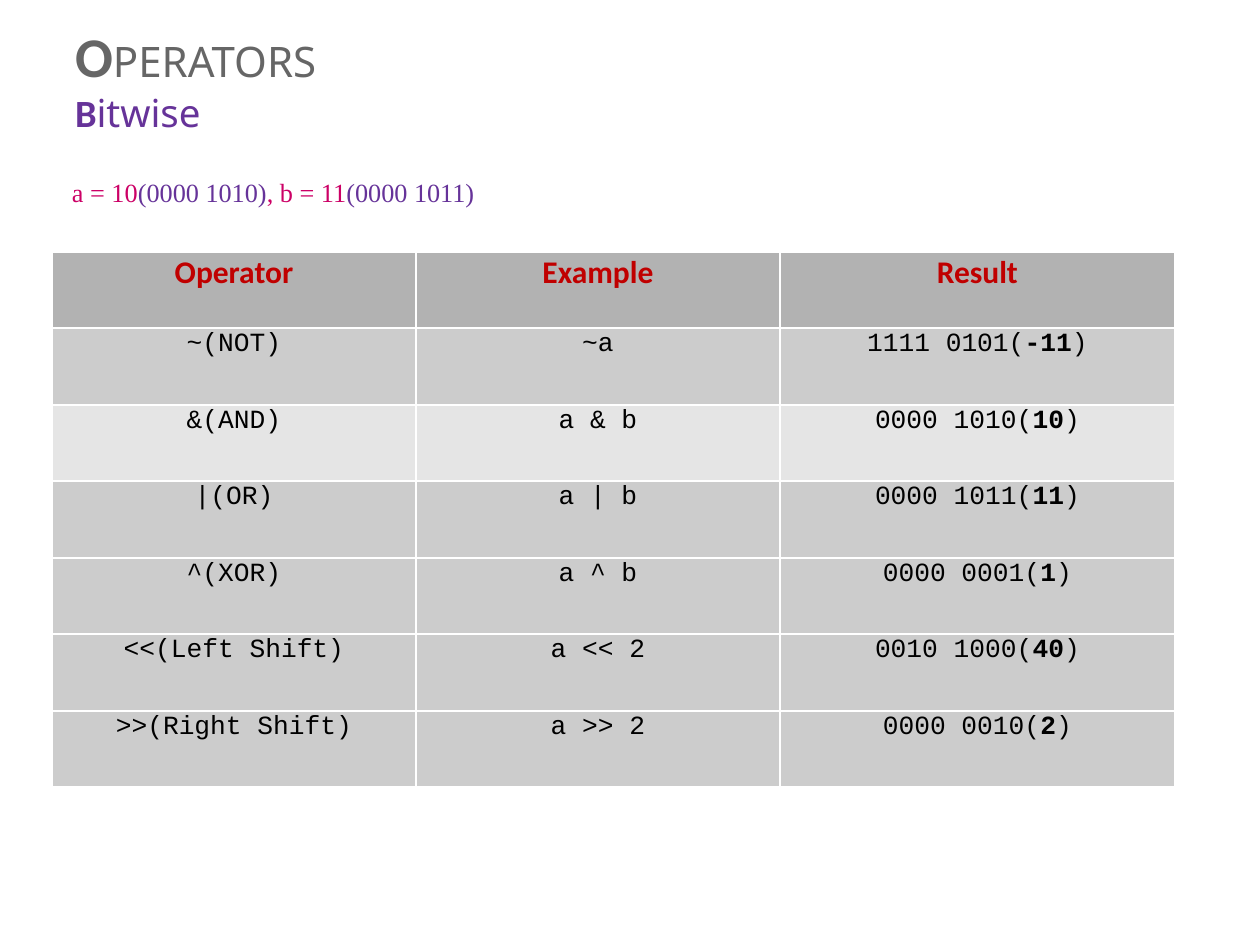
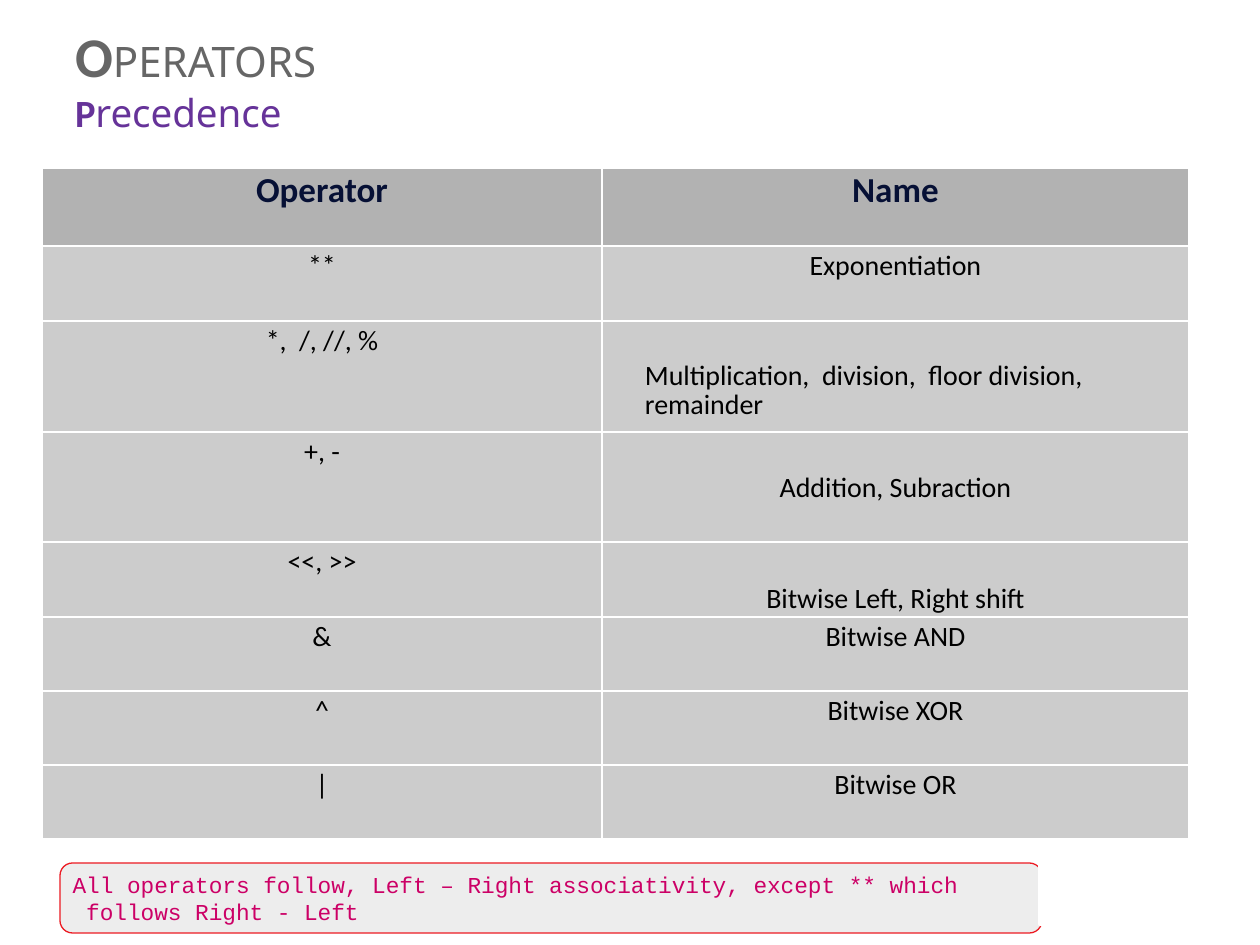
"""Build the two operator slides: bitwise examples and precedence."""
from collections import namedtuple

from lxml.etree import SubElement
from pptx import Presentation
from pptx.dml.color import RGBColor
from pptx.enum.shapes import MSO_SHAPE
from pptx.enum.text import MSO_ANCHOR, MSO_AUTO_SIZE, PP_ALIGN
from pptx.oxml.ns import qn
from pptx.util import Inches, Pt

PIXEL = Inches(1) / 126
COLORS = {
    "title": "666666",
    "subtitle": "663399",
    "accent": "CC0066",
    "bitwise_header": "C00000",
    "precedence_header": "061035",
    "text": "000000",
    "white": "FFFFFF",
    "header_fill": "B2B2B2",
    "row_fill": "CCCCCC",
    "light_row_fill": "E5E5E5",
    "callout_fill": "EDEDED",
    "callout_line": "EC1B23",
}
Style = namedtuple("Style", "font size color bold", defaults=[False])

TITLE_INITIAL = Style("Calibri", 32, "title", True)
TITLE_REST = Style("Noto Sans", 24, "title")
SUBTITLE_INITIAL = Style("Calibri", 22, "subtitle", True)
SUBTITLE_REST = Style("Noto Sans", 22, "subtitle")
VARIABLE = Style("Times New Roman", 15, "accent")
BITS = Style("Times New Roman", 15, "subtitle")
BITWISE_HEADER = Style("Calibri", 18, "bitwise_header", True)
CODE = Style("Courier New", 15, "text")
CODE_BOLD = Style("Courier New", 15, "text", True)
PRECEDENCE_HEADER = Style("Calibri", 20, "precedence_header", True)
PRECEDENCE_TEXT = Style("Calibri", 16, "text")
CALLOUT = Style("Courier New", 13, "accent")

BITWISE_ROWS = [
    ("~(NOT)", "~a", "1111 0101", "-11"),
    ("&(AND)", "a & b", "0000 1010", "10"),
    ("|(OR)", "a | b", "0000 1011", "11"),
    ("^(XOR)", "a ^ b", "0000 0001", "1"),
    ("<<(Left Shift)", "a << 2", "0010 1000", "40"),
    (">>(Right Shift)", "a >> 2", "0000 0010", "2"),
]
PRECEDENCE_ROWS = [
    ("**", "Exponentiation"),
    ("*,  /, //, %", "Multiplication,  division,  floor division,"),
    ("+, -", "Addition, Subraction"),
    ("<<, >>", "Bitwise Left, Right shift"),
    ("&", "Bitwise AND"),
    ("^", "Bitwise XOR"),
    ("|", "Bitwise OR"),
]


def px(length):
    """Turn pixels into EMU."""
    return round(length * PIXEL)


def color(name):
    """Look up a named colour."""
    return RGBColor.from_string(COLORS[name])


def add_runs(paragraph, runs):
    """Add (text, style) runs to a paragraph."""
    for text, style in runs:
        run = paragraph.add_run()
        run.text = text
        run.font.name = style.font
        run.font.size = Pt(style.size)
        run.font.bold = style.bold
        run.font.color.rgb = color(style.color)


def set_plain(paragraph, indent=0):
    """Remove a bullet and align a paragraph left at an indent."""
    paragraph.alignment = PP_ALIGN.LEFT
    paragraph.space_before = Pt(0)
    properties = paragraph._p.get_or_add_pPr()
    properties.set("marL", str(px(indent)))
    properties.set("indent", "0")
    SubElement(properties, qn("a:buNone"))


def set_frame(frame, left=0, top=1, right=0):
    """Anchor text at the top with small insets."""
    frame.word_wrap = True
    frame.auto_size = MSO_AUTO_SIZE.NONE
    frame.vertical_anchor = MSO_ANCHOR.TOP
    frame.margin_left, frame.margin_top = px(left), px(top)
    frame.margin_right, frame.margin_bottom = px(right), 0


def place(shape, left, top, width, height):
    """Move and size a placeholder."""
    shape.left, shape.top = px(left), px(top)
    shape.width, shape.height = px(width), px(height)
    set_frame(shape.text_frame)
    return shape.text_frame


def subtitle_runs(text):
    """Split a subtitle into its bold initial and the rest."""
    return [(text[0], SUBTITLE_INITIAL), (text[1:], SUBTITLE_REST)]


def add_title(slide, width, height):
    """Fill the title placeholder with the shared heading."""
    frame = place(slide.shapes.title, 74, 21, width, height)
    paragraph = frame.paragraphs[0]
    set_plain(paragraph, 1)
    add_runs(paragraph, [("O", TITLE_INITIAL), ("PERATORS", TITLE_REST)])
    return frame


def add_borders(cell):
    """Draw thin white borders on all sides of a cell."""
    properties = cell._tc.get_or_add_tcPr()
    for position, side in enumerate(("a:lnL", "a:lnR", "a:lnT", "a:lnB")):
        line = properties.makeelement(qn(side), {"w": str(Pt(1))})
        fill = SubElement(line, qn("a:solidFill"))
        SubElement(fill, qn("a:srgbClr"), val=COLORS["white"])
        properties.insert(position, line)


def fill_cell(cell, runs, fill, top):
    """Write centred text in a filled cell."""
    cell.margin_left = cell.margin_right = cell.margin_bottom = 0
    cell.margin_top = px(top)
    cell.fill.solid()
    cell.fill.fore_color.rgb = color(fill)
    add_borders(cell)
    paragraph = cell.text_frame.paragraphs[0]
    paragraph.alignment = PP_ALIGN.CENTER
    add_runs(paragraph, runs)


def add_operator_table(slide, left, top, widths, heights, rows,
                       inset=2, light_rows=(), lowered=None):
    """Add a table with a header row; lowered maps cells to larger insets."""
    table = slide.shapes.add_table(
        len(rows), len(widths), px(left), px(top), px(sum(widths)), px(sum(heights))
    ).table
    for column, width in zip(table.columns, widths):
        column.width = px(width)
    for row_index, (row, height) in enumerate(zip(rows, heights)):
        table.rows[row_index].height = px(height)
        fill = "light_row_fill" if row_index in light_rows else "row_fill"
        row_inset = inset
        if row_index == 0:
            fill, row_inset = "header_fill", 1
        for column_index, runs in enumerate(row):
            cell_inset = (lowered or {}).get((row_index, column_index), row_inset)
            fill_cell(table.cell(row_index, column_index), runs, fill, cell_inset)
    return table


def add_box(slide, kind, bounds, fill, line, line_width):
    """Add a filled and outlined shape."""
    shape = slide.shapes.add_shape(kind, *map(px, bounds))
    shape.shadow.inherit = False
    shape.fill.solid()
    shape.fill.fore_color.rgb = color(fill)
    shape.line.color.rgb = color(line)
    shape.line.width = Pt(line_width)
    return shape


def add_corner_block(slide):
    """Add the shared white block in the lower right corner."""
    add_box(slide, MSO_SHAPE.RECTANGLE, (1040, 840, 189, 84), "white", "white", 2)


def add_callout(slide, text):
    """Add the rounded note at the bottom."""
    note = add_box(slide, MSO_SHAPE.ROUNDED_RECTANGLE, (60, 863, 982, 70),
                   "callout_fill", "callout_line", 0.75)
    note.adjustments[0] = 0.18
    set_frame(note.text_frame, 9, 4, 70)
    paragraph = note.text_frame.paragraphs[0]
    paragraph.alignment = PP_ALIGN.LEFT
    add_runs(paragraph, [(text, CALLOUT)])


def build_bitwise(presentation):
    """Build the slide of bitwise operators."""
    slide = presentation.slides.add_slide(presentation.slide_layouts[1])
    add_title(slide, 271, 70)
    frame = place(slide.placeholders[1], 71, 88, 431, 121)
    subtitle = frame.paragraphs[0]
    set_plain(subtitle, 4)
    add_runs(subtitle, subtitle_runs("Bitwise"))
    operands = frame.add_paragraph()
    set_plain(operands, 1)
    operands.space_before = Pt(23.5)
    add_runs(operands, [("a = 10", VARIABLE), ("(0000 1010)", BITS),
                        (", b = 11", VARIABLE), ("(0000 1011)", BITS)])
    rows = [[[(name, BITWISE_HEADER)] for name in ("Operator", "Example", "Result")]]
    for operator, example, bits, value in BITWISE_ROWS:
        result = [(bits + "(", CODE), (value, CODE_BOLD), (")", CODE)]
        rows.append([[(operator, CODE)], [(example, CODE)], result])
    add_operator_table(slide, 52, 252, [364, 364, 395],
                       [76, 77, 76, 77, 76, 77, 76], rows, light_rows={2})
    add_corner_block(slide)


def build_precedence(presentation):
    """Build the slide of operator precedence."""
    slide = presentation.slides.add_slide(presentation.slide_layouts[5])
    subtitle = add_title(slide, 533, 117).add_paragraph()
    set_plain(subtitle, 1)
    add_runs(subtitle, subtitle_runs("Precedence"))
    rows = [[[(name, PRECEDENCE_HEADER)] for name in ("Operator", "Name")]]
    rows += [[[(text, PRECEDENCE_TEXT)] for text in row] for row in PRECEDENCE_ROWS]
    table = add_operator_table(slide, 42, 168, [560, 587],
                               [78, 75, 111, 110, 75, 74, 74, 74], rows, inset=3,
                               lowered={(2, 1): 38, (3, 1): 39, (4, 1): 40})
    names = table.cell(2, 1).text_frame
    remainder = names.add_paragraph()
    add_runs(remainder, [("remainder", PRECEDENCE_TEXT)])
    for paragraph in names.paragraphs:
        set_plain(paragraph, 43)
    remainder.line_spacing = 0.65
    remainder.space_before = Pt(1.9)
    add_callout(slide, "All operators follow, Left – Right associativity, "
                       "except ** which  follows Right - Left")
    add_corner_block(slide)


def main():
    """Build and save the presentation."""
    presentation = Presentation()
    presentation.slide_width = px(1260)
    presentation.slide_height = px(945)
    build_bitwise(presentation)
    build_precedence(presentation)
    presentation.save("out.pptx")


if __name__ == "__main__":
    main()
